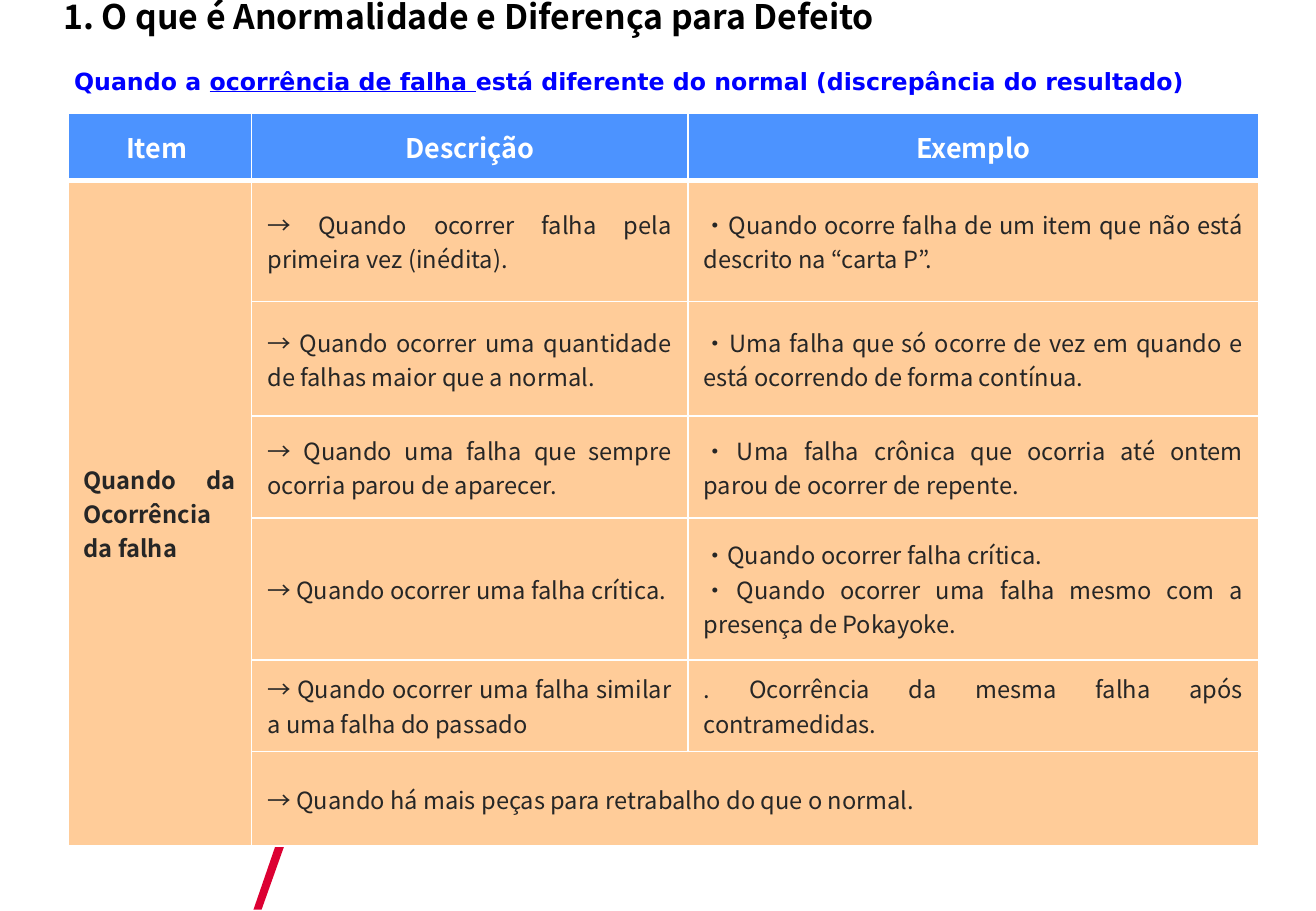
from lxml.etree import SubElement
from pptx import Presentation
from pptx.dml.color import RGBColor
from pptx.enum.text import MSO_ANCHOR, MSO_AUTO_SIZE, PP_ALIGN
from pptx.oxml import parse_xml
from pptx.oxml.ns import nsdecls, qn
from pptx.util import Cm, Pt

TITLE = "1. O que é Anormalidade e Diferença para Defeito"
SUBTITLE = [
    ("Quando a ", False),
    ("ocorrência de falha ", True),
    ("está diferente do normal (discrepância do resultado)", False),
]
HEADERS = ["Item ", "Descrição", "Exemplo"]
ITEM = "Quando da Ocorrência da falha"
CASES = [
    ("→ Quando ocorrer falha pela primeira vez (inédita).",
     ["・Quando ocorre falha de um item que não está descrito na “carta P”."]),
    ("→ Quando ocorrer uma quantidade de falhas maior que a normal.",
     ["・Uma falha que só ocorre de vez em quando e está ocorrendo de forma contínua."]),
    ("→ Quando uma falha que sempre ocorria parou de aparecer.",
     ["・Uma falha crônica que ocorria até ontem parou de ocorrer de repente."]),
    ("→ Quando ocorrer uma falha crítica.",
     ["・Quando ocorrer falha crítica.",
      "・Quando ocorrer uma falha mesmo com a presença de Pokayoke."]),
    ("→ Quando ocorrer uma falha similar a uma falha do passado",
     [". Ocorrência da mesma falha após contramedidas."]),
    ("→ Quando há mais peças para retrabalho do que o normal.", []),
]
COLUMN_WIDTHS = [3.84, 9.12, 11.94]
ROW_HEIGHTS = [1.41, 2.54, 2.39, 2.13, 2.97, 1.92, 1.97]

TABLE_FONT = "Noto Sans CJK JP"
SUBTITLE_FONT = "DejaVu Sans"
BLACK = RGBColor(0x00, 0x00, 0x00)
WHITE = RGBColor(0xFF, 0xFF, 0xFF)
BLUE = RGBColor(0x00, 0x00, 0xFF)
HEADER_BLUE = RGBColor(0x00, 0x66, 0xFF)
PEACH = RGBColor(0xFF, 0xCC, 0x99)
DARK_GRAY = RGBColor(0x26, 0x26, 0x26)
RED = RGBColor(0xDC, 0x00, 0x32)


def add_text(paragraph, text, font=TABLE_FONT, size=14, color=DARK_GRAY,
             bold=False, underline=False, align=PP_ALIGN.LEFT):
    paragraph.alignment = align
    run = paragraph.add_run()
    run.text = text
    run.font.name = font
    run.font.size = Pt(size)
    run.font.bold = bold
    run.font.underline = underline
    run.font.color.rgb = color
    SubElement(run._r.get_or_add_rPr(), qn("a:ea"), typeface=font)


def set_borders(cell, top=1, bottom=1):
    properties = cell._tc.get_or_add_tcPr()
    sides = [("L", 1), ("R", 1), ("T", top), ("B", bottom)]
    for index, (side, width) in enumerate(sides):
        properties.insert(index, parse_xml(
            f'<a:ln{side} {nsdecls("a")} w="{Pt(width)}"><a:solidFill>'
            f'<a:srgbClr val="{WHITE}"/></a:solidFill></a:ln{side}>'))


def fill_cell(cell, lines, fill, opacity=100, **text_format):
    cell.vertical_anchor = MSO_ANCHOR.MIDDLE
    cell.margin_left = cell.margin_right = Cm(0.33)
    cell.margin_top = cell.margin_bottom = Cm(0.1)
    cell.fill.solid()
    cell.fill.fore_color.rgb = fill
    if opacity < 100:
        color = cell._tc.tcPr.find(f"{qn('a:solidFill')}/{qn('a:srgbClr')}")
        SubElement(color, qn("a:alpha"), val=str(opacity * 1000))
    frame = cell.text_frame
    for index, line in enumerate(lines):
        paragraph = frame.add_paragraph() if index else frame.paragraphs[0]
        add_text(paragraph, line, **text_format)


def add_slash(slide):
    points = [(6.1, 17.25), (5.91, 17.25), (5.3, 19.02), (5.47, 19.02)]
    corners = [(Cm(x), Cm(y)) for x, y in points]
    builder = slide.shapes.build_freeform(*corners[0])
    builder.add_line_segments(corners[1:], close=True)
    slash = builder.convert_to_shape()
    slash.shadow.inherit = False
    slash.fill.solid()
    slash.fill.fore_color.rgb = RED
    slash.line.fill.background()


def add_headings(slide):
    title = slide.shapes.title
    title.left, title.top, title.width, title.height = (
        Cm(1.07), Cm(-0.08), Cm(22.58), Cm(1.12))
    frame = title.text_frame
    frame.auto_size = MSO_AUTO_SIZE.NONE
    frame.vertical_anchor = MSO_ANCHOR.TOP
    frame.margin_top = frame.margin_bottom = 0
    add_text(frame.paragraphs[0], TITLE, size=20, color=BLACK, bold=True)

    subtitle = slide.shapes.add_textbox(Cm(1.3), Cm(1.27), Cm(24.59), Cm(0.86))
    subtitle.text_frame.word_wrap = True
    for text, underline in SUBTITLE:
        add_text(subtitle.text_frame.paragraphs[0], text, font=SUBTITLE_FONT,
                 color=BLUE, bold=True, underline=underline)


def add_failure_table(slide):
    table = slide.shapes.add_table(
        len(ROW_HEIGHTS), len(COLUMN_WIDTHS), Cm(1.42), Cm(2.36),
        Cm(sum(COLUMN_WIDTHS)), Cm(sum(ROW_HEIGHTS))).table
    for column, width in zip(table.columns, COLUMN_WIDTHS):
        column.width = Cm(width)
    for row, height in zip(table.rows, ROW_HEIGHTS):
        row.height = Cm(height)

    for column, header in enumerate(HEADERS):
        fill_cell(table.cell(0, column), [header], HEADER_BLUE, opacity=70,
                  size=16, color=WHITE, bold=True, align=PP_ALIGN.CENTER)

    last = len(CASES)
    table.cell(1, 0).merge(table.cell(last, 0))
    table.cell(last, 1).merge(table.cell(last, 2))
    fill_cell(table.cell(1, 0), [ITEM], PEACH, bold=True, align=PP_ALIGN.JUSTIFY)
    for row, (description, examples) in enumerate(CASES, start=1):
        fill_cell(table.cell(row, 1), [description], PEACH, align=PP_ALIGN.JUSTIFY)
        if examples:
            fill_cell(table.cell(row, 2), examples, PEACH, align=PP_ALIGN.JUSTIFY)

    for row in range(len(ROW_HEIGHTS)):
        for column in range(len(COLUMN_WIDTHS)):
            set_borders(table.cell(row, column), top=3 if row == 1 else 1,
                        bottom=3 if row == 0 else 1)


def main():
    presentation = Presentation()
    presentation.slide_width = Cm(27.51)
    presentation.slide_height = Cm(19.05)
    slide = presentation.slides.add_slide(presentation.slide_layouts[5])
    add_slash(slide)
    add_headings(slide)
    add_failure_table(slide)
    presentation.save("out.pptx")


if __name__ == "__main__":
    main()
